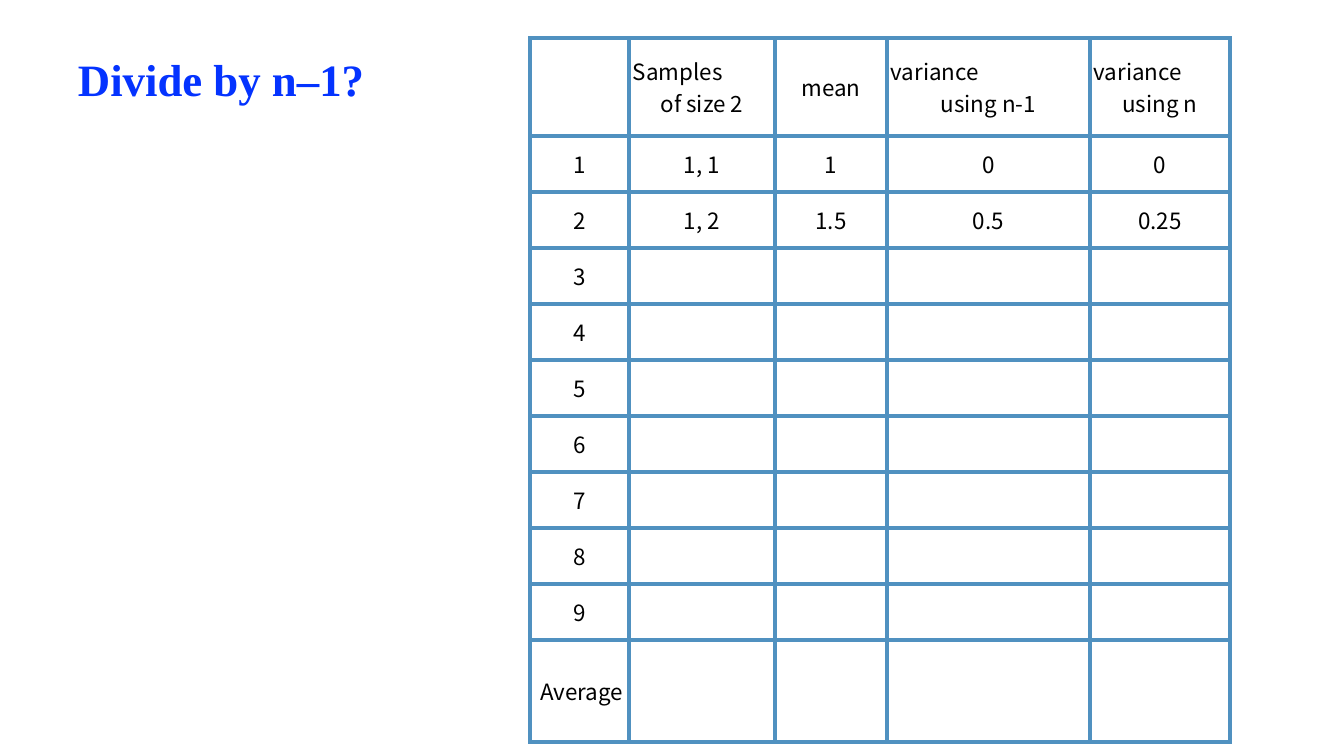
from lxml import etree
from pptx import Presentation
from pptx.dml.color import RGBColor
from pptx.enum.text import MSO_ANCHOR, PP_ALIGN
from pptx.oxml.ns import qn
from pptx.util import Pt

EMU_PER_PX = 914400 / 100.8
MIDDLE = MSO_ANCHOR.MIDDLE
LEFT, CENTER = PP_ALIGN.LEFT, PP_ALIGN.CENTER
COLORS = {"title": "0433FF", "text": "000000", "grid": "5091C0"}
TITLE_FONT, TABLE_FONT = "Times New Roman", "Noto Sans CJK SC"

COLUMN_WIDTHS = [99, 146, 112, 203, 140]
ROW_HEIGHTS = [98] + [56] * 9 + [102]
ROWS = [
    ["", "Samples\nof size 2", "mean", "variance\nusing n-1", "variance\nusing n"],
    ["1", "1, 1", "1", "0", "0"],
    ["2", "1, 2", "1.5", "0.5", "0.25"],
    *[[str(number), "", "", "", ""] for number in range(3, 10)],
    ["Average", "", "", "", ""],
]


def px(length):
    return round(length * EMU_PER_PX)


def add_run(paragraph, text, font_name, size, color, bold):
    run = paragraph.add_run()
    run.text = text
    run.font.name = font_name
    run.font.size = Pt(size)
    run.font.bold = bold
    run.font.color.rgb = RGBColor.from_string(COLORS[color])


prs = Presentation()
prs.slide_width, prs.slide_height = px(1344), px(756)
slide = prs.slides.add_slide(prs.slide_layouts[6])

# Table of samples
samples = slide.shapes.add_table(
    len(ROWS), len(COLUMN_WIDTHS), px(530), px(38),
    px(sum(COLUMN_WIDTHS)), px(sum(ROW_HEIGHTS))).table
samples.first_row = False
samples.horz_banding = False
for column, width in zip(samples.columns, COLUMN_WIDTHS):
    column.width = px(width)
for row, height in zip(samples.rows, ROW_HEIGHTS):
    row.height = px(height)

for row_index, values in enumerate(ROWS):
    for column_index, value in enumerate(values):
        cell = samples.cell(row_index, column_index)
        cell.vertical_anchor = MIDDLE
        cell.margin_left = px(8 if value == "Average" else 4)
        cell.margin_right = cell.margin_top = cell.margin_bottom = px(4)

        cell_properties = cell._tc.get_or_add_tcPr()
        for side in ("a:lnL", "a:lnR", "a:lnT", "a:lnB"):
            border = etree.SubElement(cell_properties, qn(side), w=str(Pt(3)))
            border_fill = etree.SubElement(border, qn("a:solidFill"))
            etree.SubElement(border_fill, qn("a:srgbClr"), val=COLORS["grid"])
        cell.fill.background()

        # In a two-line heading the first line stays left, the second is centred
        lines = value.split("\n") if value else []
        for line_index, line in enumerate(lines):
            frame = cell.text_frame
            paragraph = frame.add_paragraph() if line_index else frame.paragraphs[0]
            paragraph.alignment = CENTER if line == lines[-1] else LEFT
            add_run(paragraph, line, TABLE_FONT, 16, "text", False)

# Title
title = slide.shapes.add_textbox(px(68), px(48), px(309), px(61)).text_frame
title.word_wrap = False
title.vertical_anchor = MIDDLE
title.margin_left = title.margin_right = px(10)
title.margin_top = title.margin_bottom = px(4)
add_run(title.paragraphs[0], "Divide by n–1?", TITLE_FONT, 32, "title", True)

prs.save("out.pptx")
